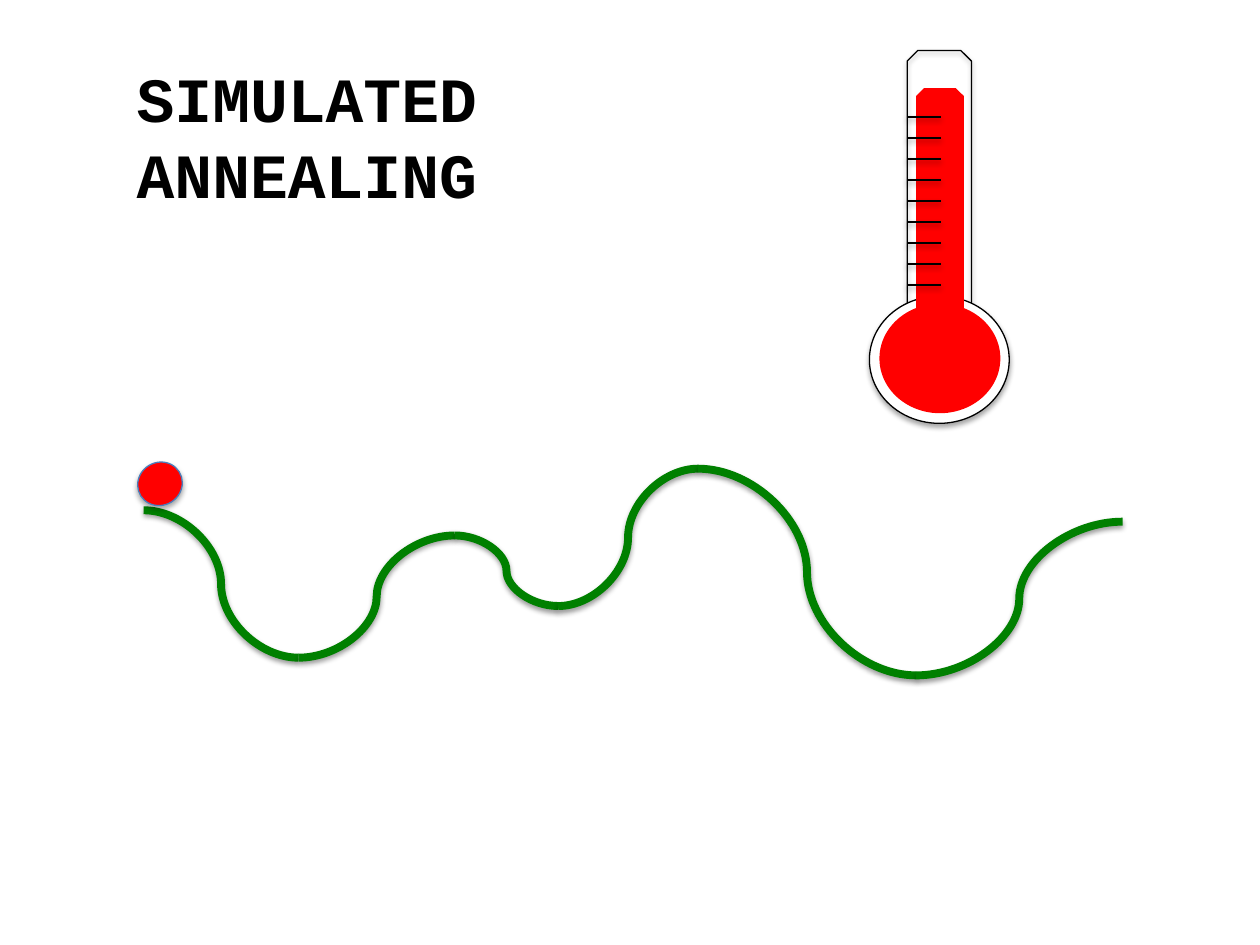
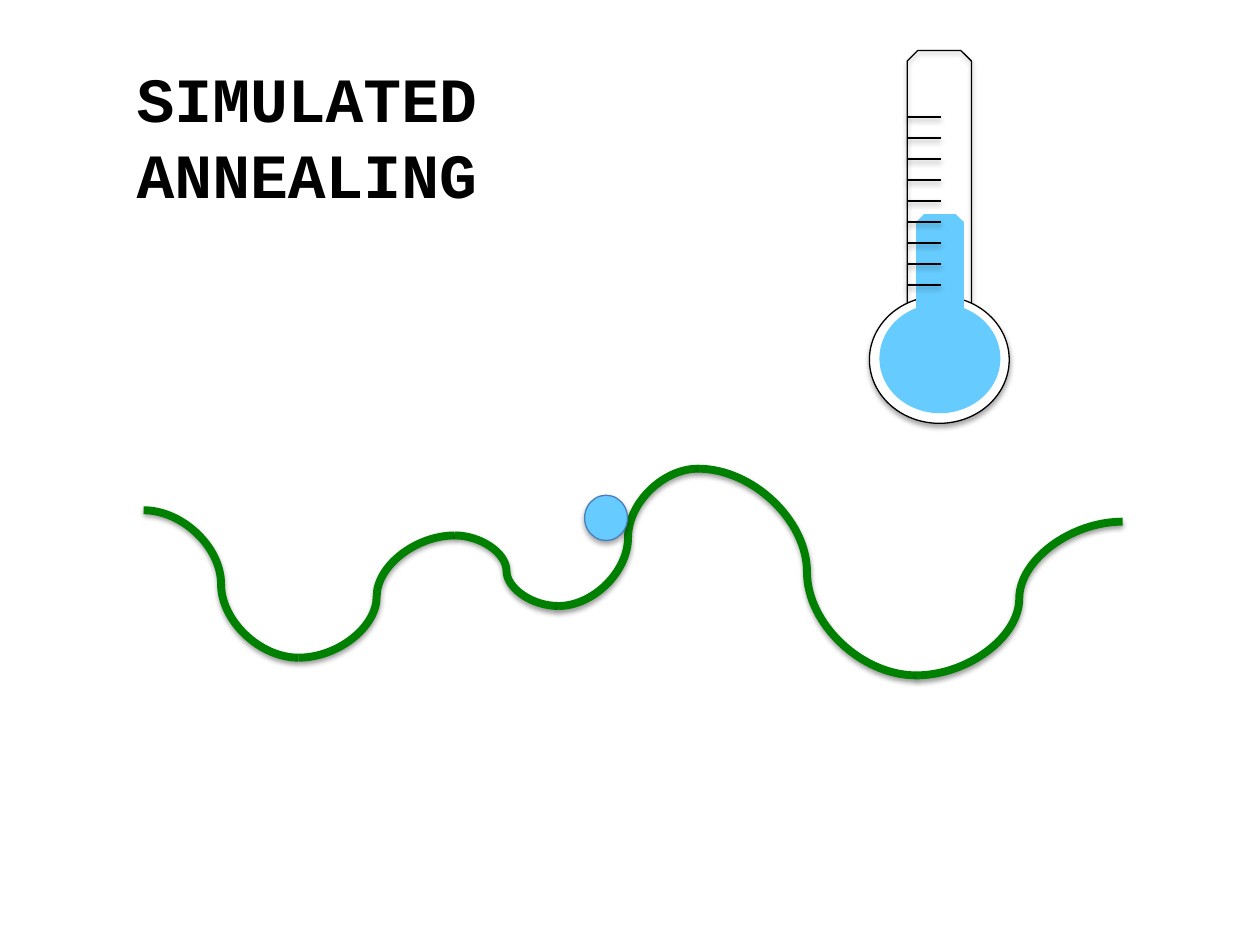
"""Build two slides showing simulated annealing at a high and a low temperature."""
from lxml.etree import SubElement
from pptx import Presentation
from pptx.dml.color import RGBColor
from pptx.enum.shapes import MSO_CONNECTOR, MSO_SHAPE
from pptx.enum.text import MSO_ANCHOR, MSO_AUTO_SIZE, PP_ALIGN
from pptx.oxml.ns import qn
from pptx.util import Inches, Pt

BLACK = RGBColor(0x00, 0x00, 0x00)
WHITE = RGBColor(0xFF, 0xFF, 0xFF)
HOT_RED = RGBColor(0xFF, 0x00, 0x00)
COLD_BLUE = RGBColor(0x66, 0xCC, 0xFF)
HILL_GREEN = RGBColor(0x00, 0x80, 0x00)
BALL_EDGE = RGBColor(0x4B, 0x7E, 0xBC)

TITLE_FRAME = {
    "word_wrap": True, "auto_size": MSO_AUTO_SIZE.NONE,
    "vertical_anchor": MSO_ANCHOR.TOP,
    "margin_left": Inches(0.1), "margin_right": Inches(0.1),
    "margin_top": Inches(0.1), "margin_bottom": 0,
}
TITLE_PARAGRAPH = {"alignment": PP_ALIGN.CENTER, "line_spacing": Pt(43.5)}
TITLE_FONT = {"name": "Courier New", "size": Pt(36), "bold": True}

HILL_POINTS = [(1.14, 4.05), (2.37, 5.22), (3.61, 4.25), (4.43, 4.81),
               (5.54, 3.72), (7.27, 5.36), (8.91, 4.14)]
TICK_COUNT = 9
TICK_TOP = 0.93
TICK_GAP = 1 / 6

STATES = [
    {"color": HOT_RED, "ball": (1.09, 3.67), "rotation": 327.8,
     "fluid_top": 0.7, "fluid_height": 1.98},
    {"color": COLD_BLUE, "ball": (4.63, 3.94), "rotation": 270,
     "fluid_top": 1.7, "fluid_height": 0.78},
]


def add_outline(shape, color, width, shadow_opacity, shadow_distance):
    """Give a shape or connector a line and a soft shadow below it."""
    shape.line.color.rgb = color
    shape.line.width = Pt(width)
    effects = SubElement(shape._element.spPr, qn("a:effectLst"))
    shadow = SubElement(effects, qn("a:outerShdw"), blurRad=str(Pt(3.1)),
                        dist=str(Pt(shadow_distance)), dir="5400000", rotWithShape="0")
    shadow_color = SubElement(shadow, qn("a:srgbClr"), val=str(BLACK))
    SubElement(shadow_color, qn("a:alpha"), val=str(shadow_opacity * 1000))


def add_part(slide, kind, frame, fill, edge):
    """Add a filled shape, with an edge and shadow when an edge color is given."""
    shape = slide.shapes.add_shape(kind, *[Inches(length) for length in frame])
    if fill is None:
        shape.fill.background()
    else:
        shape.fill.solid()
        shape.fill.fore_color.rgb = fill
    if edge is None:
        shape.line.fill.background()
        shape.shadow.inherit = False
    else:
        add_outline(shape, edge, 0.75, 35, 1.8)
    return shape


presentation = Presentation()
presentation.slide_width = Inches(10)
presentation.slide_height = Inches(7.5)

for state in STATES:
    slide = presentation.slides.add_slide(presentation.slide_layouts[5])

    title = slide.shapes.title
    title.left, title.top = Inches(0), Inches(0.37)
    title.width, title.height = Inches(4.87), Inches(1.31)
    title.text_frame.text = "SIMULATED ANNEALING"
    paragraph = title.text_frame.paragraphs[0]
    for target, formats in ((title.text_frame, TITLE_FRAME),
                            (paragraph, TITLE_PARAGRAPH),
                            (paragraph.runs[0].font, TITLE_FONT)):
        for attribute, value in formats.items():
            setattr(target, attribute, value)
    paragraph.runs[0].font.color.rgb = BLACK

    for start, end in zip(HILL_POINTS, HILL_POINTS[1:]):
        if end[1] < start[1] and end[0] != 5.54:
            start, end = end, start
        hill = slide.shapes.add_connector(
            MSO_CONNECTOR.CURVE, *[Inches(length) for length in start + end])
        add_outline(hill, HILL_GREEN, 4.5, 38, 1.6)

    fluid_frame = (7.27, state["fluid_top"], 0.38, state["fluid_height"])
    ball_frame = (*state["ball"], 0.36, 0.34)
    snipped, ellipse = MSO_SHAPE.SNIP_2_SAME_RECTANGLE, MSO_SHAPE.OVAL
    add_part(slide, snipped, (7.2, 0.4, 0.51, 2.28), None, BLACK)
    add_part(slide, ellipse, (6.9, 2.35, 1.11, 1.01), WHITE, BLACK)
    add_part(slide, ellipse, (6.98, 2.41, 0.96, 0.87), state["color"], None)
    add_part(slide, snipped, fluid_frame, state["color"], None)
    ball = add_part(slide, ellipse, ball_frame, state["color"], BALL_EDGE)
    ball.rotation = state["rotation"]

    for index in range(TICK_COUNT):
        height = Inches(TICK_TOP + index * TICK_GAP)
        tick = slide.shapes.add_connector(
            MSO_CONNECTOR.STRAIGHT, Inches(7.2), height, Inches(7.47), height)
        add_outline(tick, BLACK, 1, 38, 1.6)

presentation.save("out.pptx")
